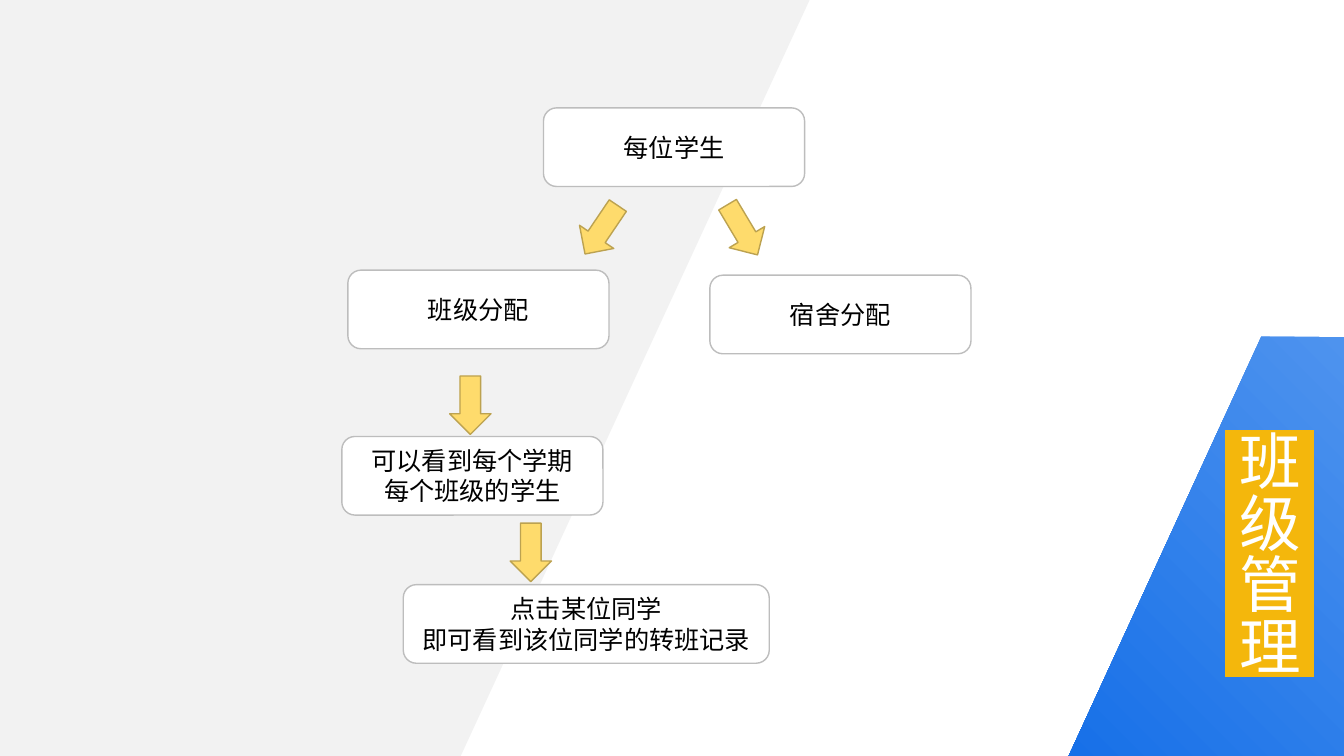
"""Builds the class management flow chart slide."""
from lxml.etree import SubElement
from pptx import Presentation
from pptx.dml.color import RGBColor
from pptx.enum.shapes import MSO_SHAPE as Shape
from pptx.enum.text import MSO_ANCHOR as Anchor, MSO_AUTO_SIZE as AutoSize, PP_ALIGN as Align
from pptx.oxml.ns import qn
from pptx.util import Inches, Pt


def paint(color_format, hex_color):
    color_format.rgb = RGBColor.from_string(hex_color)


def style(shape, fill, line):
    shape.shadow.inherit = False
    shape.fill.solid()
    paint(shape.fill.fore_color, fill)
    if line:
        paint(shape.line.color, line)
        shape.line.width = Pt(1)
    else:
        shape.line.fill.background()


deck = Presentation()
deck.slide_width, deck.slide_height = Inches(13.33), Inches(7.5)
page = deck.slides.add_slide(deck.slide_layouts[5])
shapes = page.shapes

panels = [
    ("F2F2F2", [(0, 0), (8.03, 0), (4.57, 7.5), (0, 7.5)]),
    ("1770E8", [(13.33, 3.34), (12.51, 3.34), (10.6, 7.5), (13.33, 7.5)]),
]
for color, corners in panels:
    points = [(Inches(x), Inches(y)) for x, y in corners]
    builder = shapes.build_freeform(*points[0])
    builder.add_line_segments(points[1:], close=True)
    panel = builder.convert_to_shape()
    style(panel, color, None)
panel.fill.gradient()
panel.fill.gradient_angle = 225
for stop, color in zip(panel.fill.gradient_stops, ("4E93EE", "1770E8")):
    paint(stop.color, color)
for stop, position in zip(panel.fill.gradient_stops, (0, 1)):
    stop.position = position

title = shapes.title
shapes._spTree.append(title._element)
place = {"left": 12.1, "top": 4.22, "width": 0.94, "height": 3.28}
for name, value in place.items():
    setattr(title, name, Inches(value))
frame = title.text_frame
frame.text = "班级管理"
frame_format = {"word_wrap": True, "auto_size": AutoSize.NONE, "vertical_anchor": Anchor.TOP}
for name, value in frame_format.items():
    setattr(frame, name, value)
frame._txBody.bodyPr.set("vert", "eaVert")
para = frame.paragraphs[0]
para.alignment = Align.LEFT
span = para.runs[0]
span.font.size = Pt(44)
paint(span.font.color, "FFFFFF")
properties = span.font._element
highlight = SubElement(properties, qn("a:highlight"))
SubElement(highlight, qn("a:srgbClr"), val="F4B70C")
span.font.name = "Noto Sans CJK SC"
SubElement(properties, qn("a:ea"), typeface="Noto Sans CJK SC")

steps = [
    (3.45, 2.68, 2.59, "班级分配"),
    (7.04, 2.73, 2.59, "宿舍分配"),
    (5.39, 1.07, 2.59, "每位学生"),
    (3.39, 4.33, 2.59, "可以看到每个学期\n每个班级的学生"),
    (4, 5.8, 3.63, "点击某位同学\n即可看到该位同学的转班记录"),
]
for left, top, width, words in steps:
    box = shapes.add_shape(Shape.ROUNDED_RECTANGLE, Inches(left), Inches(top),
                           Inches(width), Inches(0.78))
    style(box, "FFFFFF", "BDBDBD")
    box.text_frame.text = words
    box.text_frame.vertical_anchor = Anchor.MIDDLE
    for para in box.text_frame.paragraphs:
        para.alignment = Align.CENTER
        for span in para.runs:
            span.font.size = Pt(18)
            paint(span.font.color, "000000")
            span.font.name = "Noto Sans CJK JP"
            SubElement(span.font._element, qn("a:ea"), typeface="Noto Sans CJK JP")

arrows = [(4.46, 3.73, 0), (5.76, 1.99, 34.1), (7.16, 1.99, 329.2), (5.06, 5.19, 0)]
for left, top, turn in arrows:
    arrow = shapes.add_shape(Shape.DOWN_ARROW, Inches(left), Inches(top),
                             Inches(0.41), Inches(0.58))
    style(arrow, "FEDB6C", "BCA250")
    arrow.rotation = turn

deck.save("out.pptx")
